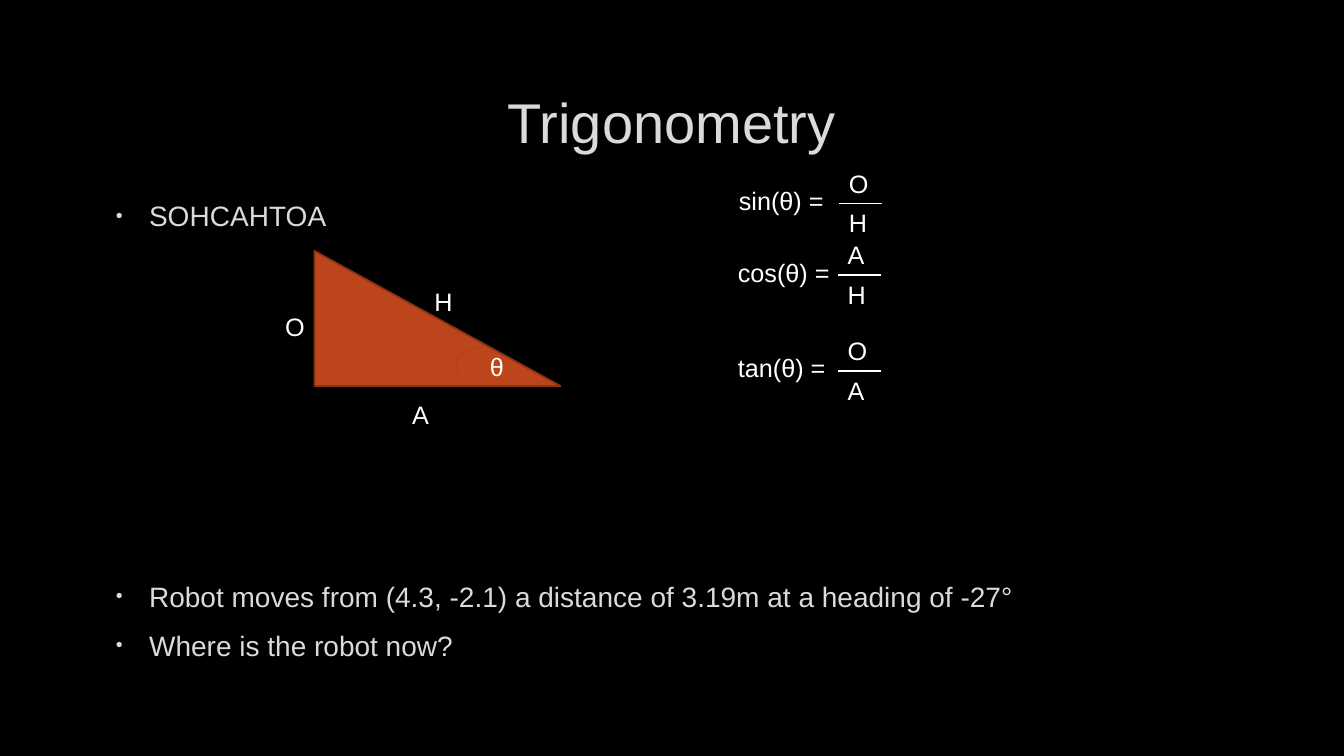
from lxml.etree import SubElement
from pptx import Presentation
from pptx.dml.color import RGBColor
from pptx.enum.shapes import MSO_CONNECTOR, MSO_SHAPE
from pptx.enum.text import MSO_ANCHOR, PP_ALIGN
from pptx.oxml.ns import qn
from pptx.util import Inches, Pt

WHITE, PALE, RUST = "FFFFFF", "DADADA", "BC451B"


def paint(target, color):
    """Give a fill or line format a solid colour."""
    target.solid()
    target.fore_color.rgb = RGBColor.from_string(color)


def write(para, text, size=18, color=WHITE, align=PP_ALIGN.LEFT, before=0, after=0):
    """Put formatted text in a paragraph."""
    para.text = text
    para.alignment = align
    para.space_before, para.space_after = Pt(before), Pt(after)
    font = para.runs[0].font
    font.name, font.size = "Arial", Pt(size)
    paint(font.fill, color)


def place(slide, box):
    """Add a wrapping text box and return its frame."""
    frame = slide.shapes.add_textbox(*map(Inches, box)).text_frame
    frame.word_wrap = True
    return frame


def label(slide, text, left, top, width=0.4, wrap=True):
    """Add one short line of white text."""
    frame = place(slide, (left, top, width, 0.4))
    frame.word_wrap = wrap
    write(frame.paragraphs[0], text)


def bullet(para):
    """Give a paragraph a small pale bullet and a hanging indent."""
    props = para._p.get_or_add_pPr()
    props.set("marL", str(Inches(0.38)))
    props.set("indent", str(Inches(-0.33)))
    tint = SubElement(props, qn("a:buClr"))
    SubElement(tint, qn("a:srgbClr"), val=PALE)
    SubElement(props, qn("a:buSzPct"), val="70000")
    SubElement(props, qn("a:buFont"), typeface="Arial")
    SubElement(props, qn("a:buChar"), char="•")


def heading(slide, box):
    """Set the slide title in its box."""
    title = slide.shapes.title
    title.left, title.top, title.width, title.height = map(Inches, box)
    frame = title.text_frame
    frame.vertical_anchor = MSO_ANCHOR.MIDDLE
    write(frame.paragraphs[0], "Trigonometry", size=40, color=PALE, align=PP_ALIGN.CENTER)


def points(slide, box):
    """List the mnemonic and, below the figure, the question."""
    frame = place(slide, box)
    rows = [
        ("SOHCAHTOA", 0),
        ("Robot moves from (4.3, -2.1) a distance of 3.19m at a heading of -27°", 242),
        ("Where is the robot now?", 5),
    ]
    for index, (text, before) in enumerate(rows):
        para = frame.add_paragraph() if index else frame.paragraphs[0]
        bullet(para)
        write(para, text, size=20, color=PALE, before=before, after=6)


def curve(nodes, steps=12):
    """Sample a cubic curve given by four nodes."""
    for step in range(1, steps + 1):
        t = step / steps
        parts = ((1 - t) ** 3, 3 * t * (1 - t) ** 2, 3 * t * t * (1 - t), t ** 3)
        yield tuple(Inches(sum(p * n for p, n in zip(parts, axis))) for axis in zip(*nodes))


def arc(slide, left, top):
    """Mark the angle with a thin open curve."""
    nodes = [(0.1, 0.39), (0.05, 0.29), (0, 0.18), (0.04, 0.12),
             (0.07, 0.05), (0.25, 0.02), (0.3, 0)]
    nodes = [(left + x, top + y) for x, y in nodes]
    pen = slide.shapes.build_freeform(*map(Inches, nodes[0]))
    pen.add_line_segments([*curve(nodes[:4]), *curve(nodes[3:])], close=False)
    shape = pen.convert_to_shape()
    shape.shadow.inherit = False
    shape.fill.background()
    paint(shape.line.fill, "B4421A")
    shape.line.width = Pt(0.75)


def figure(slide, box):
    """Draw the right triangle with its sides and angle named."""
    left, top = box[:2]
    shape = slide.shapes.add_shape(MSO_SHAPE.RIGHT_TRIANGLE, *map(Inches, box))
    shape.shadow.inherit = False
    paint(shape.fill, RUST)
    paint(shape.line.fill, "8B3314")
    shape.line.width = Pt(1.25)
    arc(slide, left + 1.38, top + 0.94)
    for text, x, y, width in [("H", 1.09, 0.3, 0.4), ("O", -0.39, 0.55, 0.4),
                              ("A", 0.87, 1.42, 0.4), ("θ", 1.64, 0.95, 0.33)]:
        label(slide, text, left + x, top + y, width, wrap=False)


def ratio(slide, left, top, name, upper, lower):
    """Write a function as a fraction of two sides."""
    label(slide, f"{name}(θ) =", left, top + 0.17, 1.26)
    left += 1.09
    label(slide, upper, left, top, 0.47)
    label(slide, lower, left, top + 0.39, 0.47)
    ends = left, top + 0.4, left + 0.43, top + 0.4
    bar = slide.shapes.add_connector(MSO_CONNECTOR.STRAIGHT, *map(Inches, ends))
    paint(bar.line.fill, WHITE)
    bar.line.width = Pt(1)
    SubElement(bar._element.spPr, qn("a:effectLst"))


def main():
    """Build and save the slide."""
    deck = Presentation()
    deck.slide_width, deck.slide_height = Inches(13.33), Inches(7.5)
    slide = deck.slides.add_slide(deck.slide_layouts[5])
    paint(slide.background.fill, "000000")
    heading(slide, (1, 0.67, 11.32, 1.06))
    points(slide, (1, 1.92, 11.32, 4.44))
    figure(slide, (3.12, 2.49, 2.44, 1.34))
    ratio(slide, 7.23, 1.62, "sin", "O", "H")
    ratio(slide, 7.22, 2.33, "cos", "A", "H")
    ratio(slide, 7.22, 3.28, "tan", "O", "A")
    deck.save("out.pptx")


if __name__ == "__main__":
    main()
